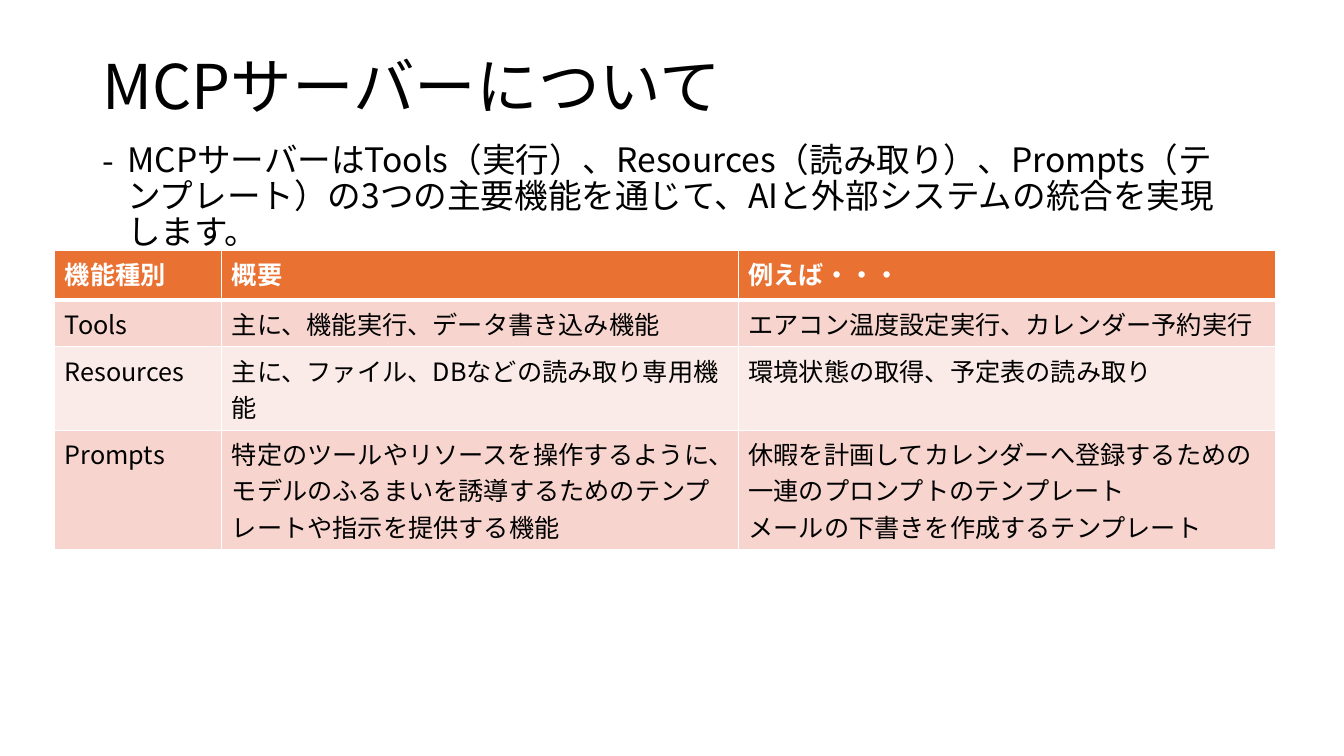
import lxml.etree
import pptx
import pptx.dml.color
import pptx.enum.lang
import pptx.enum.text
import pptx.oxml.ns
import pptx.util
from dataclasses import dataclass

Cm = pptx.util.Cm
Pt = pptx.util.Pt
qn = pptx.oxml.ns.qn


@dataclass(frozen=True)
class Theme:
    font: str = "Noto Sans CJK JP"
    text: str = "000000"
    white: str = "FFFFFF"
    header: str = "E97132"
    bands: tuple = ("F7D5CE", "FBEBE8")
    title_size: int = 44
    body_size: int = 24
    table_size: int = 18


def rgb(value):
    return pptx.dml.color.RGBColor.from_string(value)


class SlideBuilder:
    def __init__(self, slide, theme):
        self.slide = slide
        self.theme = theme

    def format_runs(self, paragraph, size, color, bold=False):
        for run in paragraph.runs:
            run.font.size = Pt(size)
            run.font.bold = bold
            run.font.color.rgb = rgb(color)
            run.font.name = self.theme.font
            run.font.language_id = pptx.enum.lang.MSO_LANGUAGE_ID.JAPANESE
            properties = run._r.get_or_add_rPr()
            lxml.etree.SubElement(properties, qn("a:ea"), typeface=self.theme.font)

    def text(self, content, box, size, anchor):
        shape = self.slide.shapes.add_textbox(*(Cm(length) for length in box))
        frame = shape.text_frame
        frame.word_wrap = True
        frame.vertical_anchor = anchor
        frame.text = content
        paragraph = frame.paragraphs[0]
        paragraph.line_spacing = 0.9
        self.format_runs(paragraph, size, self.theme.text)
        return paragraph

    def bullet(self, content, box, size):
        paragraph = self.text(content, box, size, pptx.enum.text.MSO_ANCHOR.TOP)
        paragraph.space_before = Pt(10)
        properties = paragraph._p.get_or_add_pPr()
        indent = Cm(0.63)
        properties.set("marL", str(indent))
        properties.set("indent", str(-indent))
        lxml.etree.SubElement(properties, qn("a:buFont"), typeface=self.theme.font)
        lxml.etree.SubElement(properties, qn("a:buChar"), char="-")

    def cell_borders(self, cell, bottom_width):
        properties = cell._tc.get_or_add_tcPr()
        widths = {"a:lnL": 1, "a:lnR": 1, "a:lnT": 1, "a:lnB": bottom_width}
        for tag, width in widths.items():
            line = lxml.etree.SubElement(properties, qn(tag), w=str(Pt(width)))
            fill = lxml.etree.SubElement(line, qn("a:solidFill"))
            lxml.etree.SubElement(fill, qn("a:srgbClr"), val=self.theme.white)

    def table(self, rows, left, top, widths, heights):
        frame = self.slide.shapes.add_table(
            len(rows), len(widths), Cm(left), Cm(top), Cm(sum(widths)), Cm(sum(heights)))
        table = frame.table
        for column, width in zip(table.columns, widths):
            column.width = Cm(width)
        for row, height in zip(table.rows, heights):
            row.height = Cm(height)
        for i, row in enumerate(rows):
            is_header = i == 0
            fill = self.theme.header if is_header else self.theme.bands[(i - 1) % 2]
            color = self.theme.white if is_header else self.theme.text
            for j, content in enumerate(row):
                cell = table.cell(i, j)
                cell.text = content
                for paragraph in cell.text_frame.paragraphs:
                    self.format_runs(paragraph, self.theme.table_size, color, is_header)
                self.cell_borders(cell, 3 if is_header else 1)
                cell.fill.solid()
                cell.fill.fore_color.rgb = rgb(fill)


def main():
    presentation = pptx.Presentation()
    presentation.slide_width = Cm(33.87)
    presentation.slide_height = Cm(19.05)
    theme = Theme()
    slide = presentation.slides.add_slide(presentation.slide_layouts[6])
    builder = SlideBuilder(slide, theme)

    # Title and introduction
    builder.text("MCPサーバーについて", (2.33, 1.02, 29.21, 2.46),
                 theme.title_size, pptx.enum.text.MSO_ANCHOR.MIDDLE)
    builder.bullet(
        "MCPサーバーはTools（実行）、Resources（読み取り）、Prompts（テンプレート）の"
        "3つの主要機能を通じて、AIと外部システムの統合を実現します。",
        (2.33, 3.48, 29.21, 12.09), theme.body_size)

    # Table of server features
    features = [
        ("機能種別", "概要", "例えば・・・"),
        ("Tools", "主に、機能実行、データ書き込み機能",
         "エアコン温度設定実行、カレンダー予約実行"),
        ("Resources", "主に、ファイル、DBなどの読み取り専用機能",
         "環境状態の取得、予定表の読み取り"),
        ("Prompts",
         "特定のツールやリソースを操作するように、モデルのふるまいを誘導するための"
         "テンプレートや指示を提供する機能",
         "休暇を計画してカレンダーへ登録するための一連のプロンプトのテンプレート\n"
         "メールの下書きを作成するテンプレート"),
    ]
    builder.table(features, 1.38, 6.3, (4.21, 13.02, 13.53), (1.26, 1.18, 2.1, 3))

    presentation.save("out.pptx")


if __name__ == "__main__":
    main()
